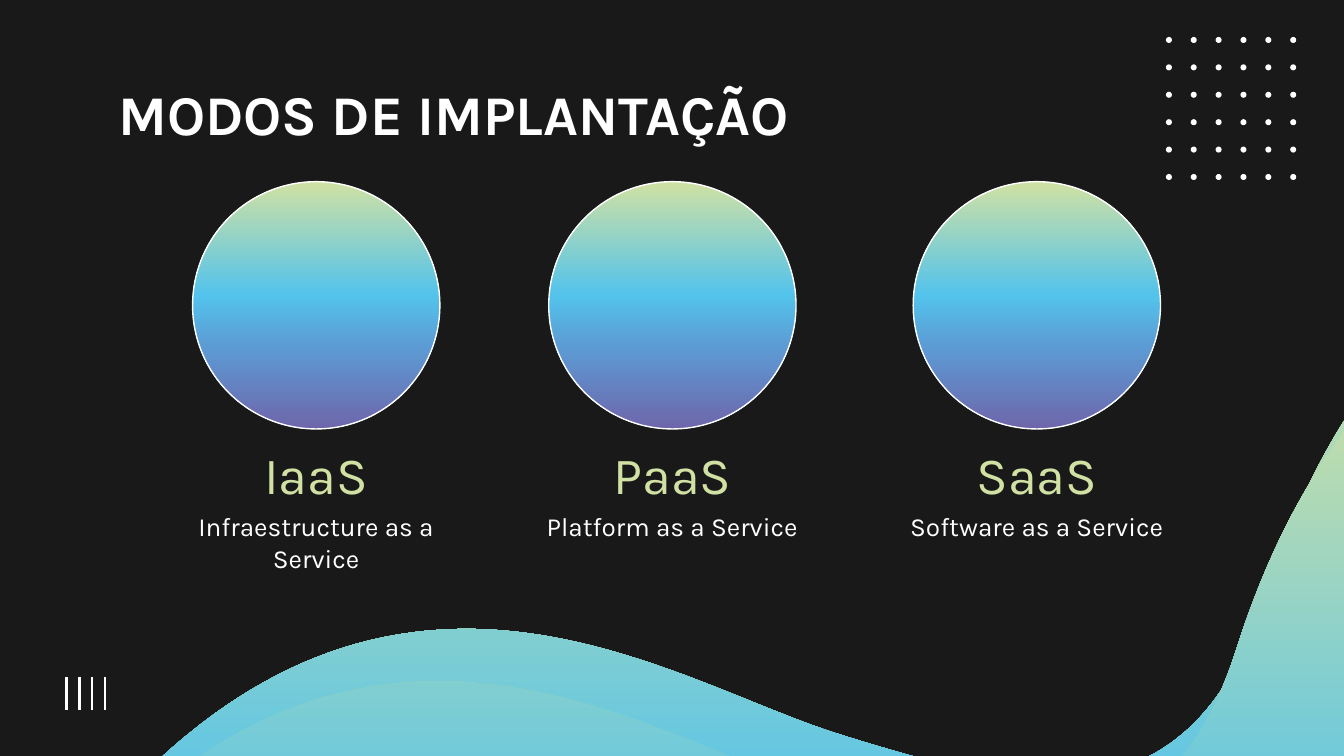
from dataclasses import dataclass
from itertools import product
from typing import Any, NamedTuple

from lxml.etree import SubElement
from pptx import Presentation
from pptx.dml.color import RGBColor
from pptx.enum.shapes import MSO_CONNECTOR as Connector, MSO_SHAPE as Shape
from pptx.enum.text import MSO_ANCHOR as Anchor, MSO_AUTO_SIZE as AutoSize, PP_ALIGN as Align
from pptx.oxml import parse_xml
from pptx.oxml.ns import nsdecls, qn
from pptx.util import Inches, Pt

# The slide is a grid of 100 columns by 56.25 rows; every length is in cells
CELL = Inches(0.1)
COLUMNS, ROWS = 100, 56.25


@dataclass(frozen=True)
class Theme:
    font: str = "Karla"
    background: RGBColor = RGBColor.from_string("191919")
    light: RGBColor = RGBColor.from_string("FFFFFF")
    accent: RGBColor = RGBColor.from_string("D0E1A3")
    gradient: tuple = ((0, "D0E1A3"), (46, "53C3EC"), (66, "5C9CD5"), (100, "6E66AB"))
    title_size: int = 30
    name_size: int = 28
    meaning_size: int = 14


class Frame(NamedTuple):
    left: float
    top: float
    width: float
    height: float


class Model(NamedTuple):
    name: str
    meaning: str
    centre: float


THEME = Theme()
MODELS = (
    Model("IaaS", "Infraestructure as a Service", 23.53),
    Model("PaaS", "Platform as a Service", 50.03),
    Model("SaaS", "Software as a Service", 77.15),
)
CIRCLE, CIRCLE_TOP = 18.4, 13.52
CAPTION_WIDTH = 25.7
NAME_TOP, NAME_HEIGHT = 31.9, 5
MEANING_TOP, MEANING_HEIGHT = 37, 6.7

# Wave outline: a start and cubic curves (two controls and an end each)
WAVE_START = (108.6, 22)
WAVE_CURVES = (
    ((108.6, 22), (99.7, 26.8), (94.1, 44.4)),
    ((90.8, 54.7), (85.1, 57.9), (78.1, 57.9)),
    ((73.2, 57.9), (67.7, 56.3), (62, 54.5)),
    ((54.9, 52.2), (45.4, 46.8), (34.7, 46.8)),
    ((24.4, 46.8), (13.1, 51.7), (1.7, 68.6)),
    ((1.7, 68.6), (4.9, 97.4), (4.3, 99.3)),
    ((3.7, 101.2), (12.1, 109.4), (15.9, 109.4)),
    ((19.8, 109.1), (53.9, 89.7), (60.4, 87.5)),
    ((67, 85.3), (107.7, 65.3), (107.7, 65.3)),
)
WAVE_CORNER = (119.2, 25.1)
WAVE_SHIFTS = ((0, 0), (-2.1, 3.9))
CURVE_STEPS = 40


def cells(*lengths: float) -> list[int]:
    return [round(length * CELL) for length in lengths]


def set_format(target: Any, values: dict[str, Any]) -> None:
    for attribute, value in values.items():
        setattr(target, attribute, value)


def fill_gradient(shape: Any) -> None:
    """Fill a shape with the theme gradient, from top to bottom."""
    shape.fill.gradient()
    shape.fill.gradient_angle = 270
    stops = shape.fill._fill._gradFill.find(qn("a:gsLst"))
    for stop in list(stops):
        stops.remove(stop)
    for share, color in THEME.gradient:
        stop = SubElement(stops, qn("a:gs"), pos=str(share * 1000))
        SubElement(stop, qn("a:srgbClr"), val=color)


def write(box: Any, frame: Frame, text: str, align: Align, font: dict[str, Any]) -> None:
    set_format(box, dict(zip(Frame._fields, cells(*frame))))
    margins = dict.fromkeys(("margin_left", "margin_top", "margin_right", "margin_bottom"), CELL)
    set_format(box.text_frame, {
        "text": text, "word_wrap": True, "auto_size": AutoSize.NONE,
        "vertical_anchor": Anchor.TOP, **margins,
    })
    paragraph = box.text_frame.paragraphs[0]
    paragraph.alignment = align
    run_font = paragraph.runs[0].font
    set_format(run_font, {"name": THEME.font, "size": Pt(font["size"]), "bold": font.get("bold", False)})
    run_font.color.rgb = font["color"]


def draw_ellipse(shapes: Any, frame: Frame) -> Any:
    ellipse = shapes.add_shape(Shape.OVAL, *cells(*frame))
    ellipse.shadow.inherit = False
    return ellipse


def draw_wave(shapes: Any, shift: tuple[float, float]) -> None:
    points, start = [], WAVE_START
    for curve in WAVE_CURVES:
        for step in range(1, CURVE_STEPS + 1):
            t = step / CURVE_STEPS
            weights = ((1 - t) ** 3, 3 * t * (1 - t) ** 2, 3 * t ** 2 * (1 - t), t ** 3)
            points.append([sum(w * p for w, p in zip(weights, axis)) for axis in zip(start, *curve)])
        start = curve[-1]
    points.append(WAVE_CORNER)
    dx, dy = shift
    outline = shapes.build_freeform(*cells(WAVE_START[0] + dx, WAVE_START[1] + dy))
    outline.add_line_segments([cells(x + dx, y + dy) for x, y in points], close=True)
    wave = outline.convert_to_shape()
    wave.shadow.inherit = False
    wave.line.fill.background()
    fill_gradient(wave)


def draw_dots(shapes: Any) -> None:
    for column, row in product(range(6), repeat=2):
        dot = draw_ellipse(shapes, Frame(86.75 + 1.85 * column, 2.75 + 2.04 * row, 0.45, 0.45))
        dot.fill.solid()
        dot.fill.fore_color.rgb = THEME.light
        dot.line.fill.background()


def draw_bars(shapes: Any) -> None:
    for index in range(4):
        x = 4.93 + 0.96 * index
        bar = shapes.add_connector(Connector.STRAIGHT, *cells(x, 50.4, x, 52.8))
        bar.line.color.rgb = THEME.light
        bar.line.width = Pt(1.5)
        bar._element.spPr.append(parse_xml(f"<a:effectLst {nsdecls('a')}/>"))


def draw_model(shapes: Any, model: Model) -> None:
    circle = draw_ellipse(shapes, Frame(model.centre - CIRCLE / 2, CIRCLE_TOP, CIRCLE, CIRCLE))
    fill_gradient(circle)
    circle.line.color.rgb = THEME.light
    circle.line.width = Pt(0.75)
    captions = (
        (model.name, NAME_TOP, NAME_HEIGHT, THEME.name_size, THEME.accent),
        (model.meaning, MEANING_TOP, MEANING_HEIGHT, THEME.meaning_size, THEME.light),
    )
    for text, top, height, size, color in captions:
        frame = Frame(model.centre - CAPTION_WIDTH / 2, top, CAPTION_WIDTH, height)
        caption = shapes.add_textbox(*cells(*frame))
        write(caption, frame, text, Align.CENTER, {"size": size, "color": color})


def main() -> None:
    deck = Presentation()
    deck.slide_width, deck.slide_height = cells(COLUMNS, ROWS)
    slide = deck.slides.add_slide(deck.slide_layouts[5])
    slide.background.fill.solid()
    slide.background.fill.fore_color.rgb = THEME.background

    # Decoration
    for shift in WAVE_SHIFTS:
        draw_wave(slide.shapes, shift)
    draw_dots(slide.shapes.add_group_shape().shapes)
    draw_bars(slide.shapes.add_group_shape().shapes)

    # Title and the three service models
    write(slide.shapes.title, Frame(7.8, 4.9, 71.6, 7.9), "MODOS DE IMPLANTAÇÃO", Align.LEFT,
          {"size": THEME.title_size, "bold": True, "color": THEME.light})
    for model in MODELS:
        draw_model(slide.shapes, model)
    deck.save("out.pptx")


if __name__ == "__main__":
    main()
